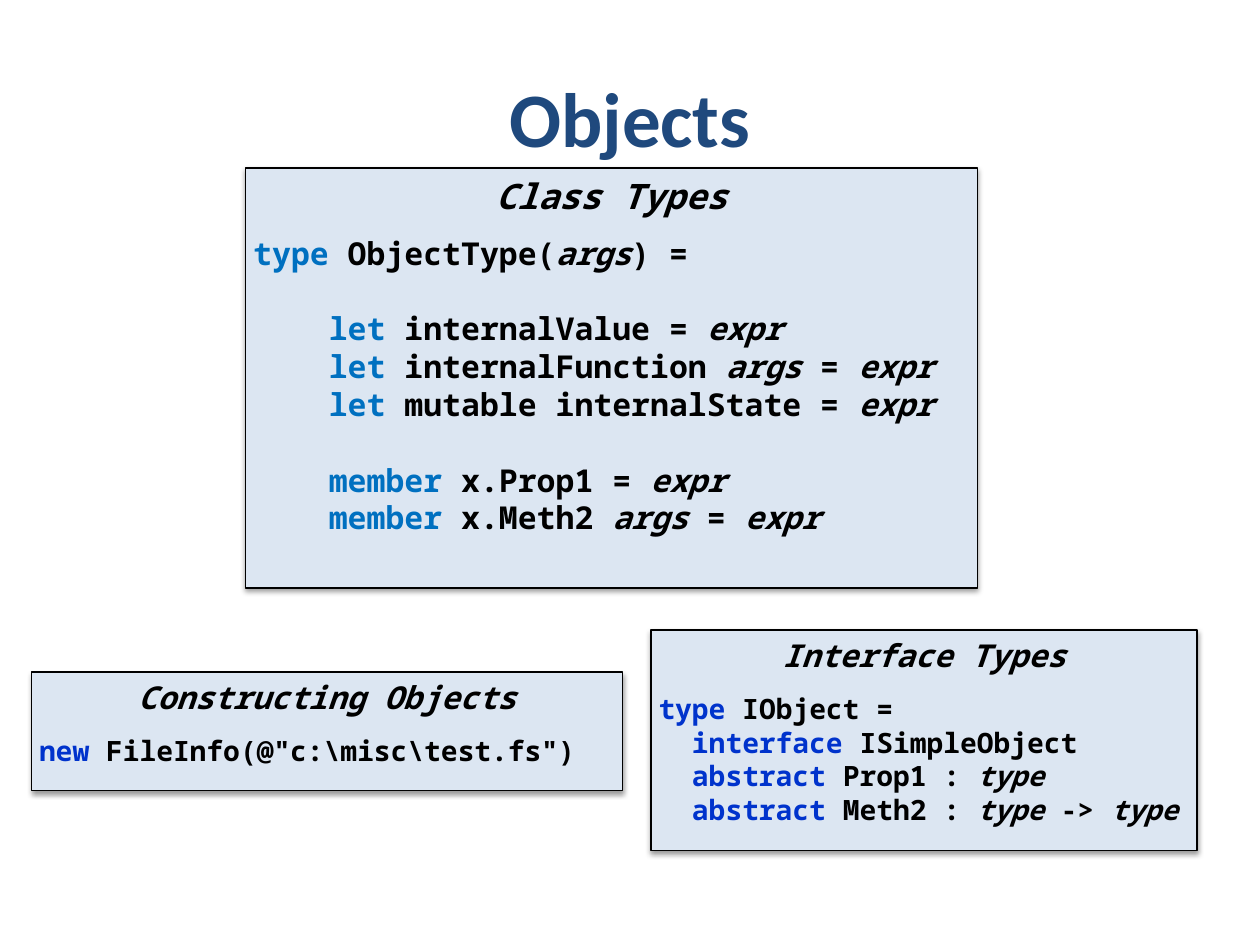
import pptx
import pptx.util
import pptx.dml.color
import pptx.enum.shapes
import pptx.enum.text
import pptx.oxml
import pptx.oxml.ns

RGBColor = pptx.dml.color.RGBColor
BLACK = RGBColor(0x00, 0x00, 0x00)
NAVY = RGBColor(0x1F, 0x49, 0x7D)
PALE_BLUE = RGBColor(0xDC, 0xE6, 0xF2)
SKY_BLUE = RGBColor(0x00, 0x70, 0xC0)
ROYAL_BLUE = RGBColor(0x00, 0x33, 0xCC)
CODE_FONT = "Noto Sans Mono"
CENTER = pptx.enum.text.PP_ALIGN.CENTER
LEFT = pptx.enum.text.PP_ALIGN.LEFT
SHADOW = (
    f'<a:effectLst {pptx.oxml.ns.nsdecls("a")}>'
    '<a:outerShdw blurRad="40000" dist="20000" dir="5400000" rotWithShape="0">'
    '<a:srgbClr val="000000"><a:alpha val="38000"/></a:srgbClr>'
    '</a:outerShdw></a:effectLst>'
)


def add_text(paragraph, text, size=18, color=BLACK, italic=False, name=CODE_FONT):
    run = paragraph.add_run()
    run.text = text
    run.font.size = pptx.util.Pt(size)
    run.font.name = name
    run.font.bold = True
    run.font.italic = italic
    run.font.color.rgb = color


presentation = pptx.Presentation()
presentation.slide_width = pptx.util.Inches(10)
presentation.slide_height = pptx.util.Inches(7.5)
column = presentation.slide_width / 120
row = presentation.slide_height / 90
slide = presentation.slides.add_slide(presentation.slide_layouts[6])

title = slide.shapes.add_textbox(
    int(6 * column), int(3.6 * row), int(108 * column), int(15 * row))
title.text_frame.word_wrap = True
title.text_frame.vertical_anchor = pptx.enum.text.MSO_ANCHOR.MIDDLE
title_paragraph = title.text_frame.paragraphs[0]
title_paragraph.alignment = CENTER
add_text(title_paragraph, "Objects", size=44, color=NAVY, name="Calibri")

# Each code line: indent, keyword, rest with _italic_ parts, blank lines above
panels = [
    ("Interface Types", (62, 60, 52, 21), 18, 16, ROYAL_BLUE, [
        (0, "type", " IObject =", 0),
        (2, "interface", " ISimpleObject", 0),
        (2, "abstract", " Prop1 : _type_", 0),
        (2, "abstract", " Meth2 : _type_ -> _type_", 0),
    ]),
    ("Class Types", (23.4, 16, 69.7, 40), 20, 18, SKY_BLUE, [
        (0, "type", " ObjectType(_args_) =", 0),
        (4, "let", " internalValue = _expr_", 1),
        (4, "let", " internalFunction _args_ = _expr_", 0),
        (4, "let", " mutable internalState = _expr_", 0),
        (4, "member", " x.Prop1 = _expr_", 1),
        (4, "member", " x.Meth2 _args_ = _expr_", 0),
    ]),
    ("Constructing Objects", (3, 64, 56.3, 11.3), 18, 16, ROYAL_BLUE, [
        (0, "new", ' FileInfo(@"c:\\misc\\test.fs")', 0),
    ]),
]

for heading, (left, top, width, height), heading_size, code_size, keyword_color, lines in panels:
    panel = slide.shapes.add_shape(
        pptx.enum.shapes.MSO_SHAPE.RECTANGLE,
        int(left * column), int(top * row), int(width * column), int(height * row))
    panel.fill.solid()
    panel.fill.fore_color.rgb = PALE_BLUE
    panel.line.color.rgb = BLACK
    panel.line.width = pptx.util.Pt(0.75)
    panel._element.spPr.append(pptx.oxml.parse_xml(SHADOW))

    frame = panel.text_frame
    frame.word_wrap = True
    frame.vertical_anchor = pptx.enum.text.MSO_ANCHOR.TOP
    frame.margin_left = frame.margin_right = pptx.util.Inches(0.06)
    frame.margin_top = frame.margin_bottom = pptx.util.Inches(0.05)
    heading_paragraph = frame.paragraphs[0]
    heading_paragraph.alignment = CENTER
    heading_paragraph.space_after = pptx.util.Pt(10)
    add_text(heading_paragraph, heading, size=heading_size, italic=True)

    for indent, keyword, rest, blank_lines in lines:
        paragraph = frame.add_paragraph()
        paragraph.alignment = LEFT
        paragraph.space_before = pptx.util.Pt(1.2 * code_size * blank_lines)
        add_text(paragraph, " " * indent + keyword, size=code_size, color=keyword_color)
        for index, part in enumerate(rest.split("_")):
            if part:
                add_text(paragraph, part, size=code_size, italic=index % 2 == 1)

presentation.save("out.pptx")
